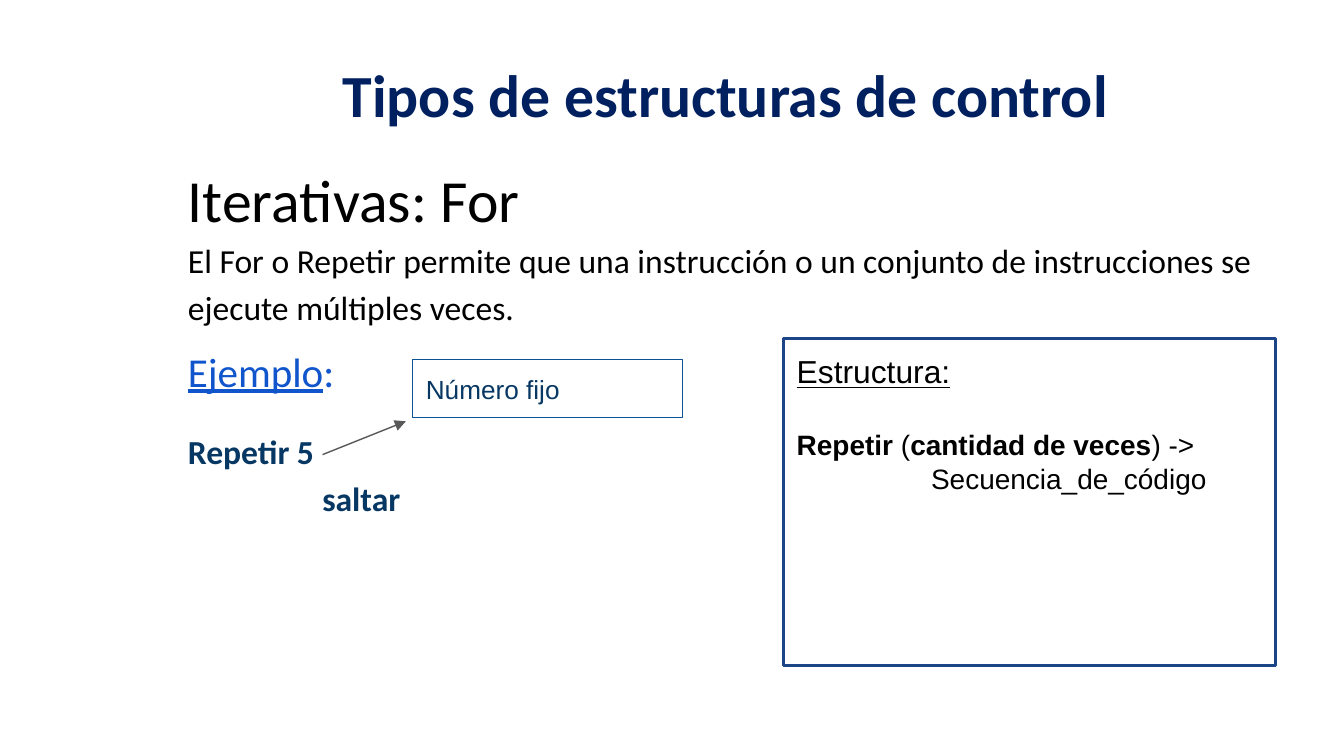
import pptx
import pptx.dml.color
import pptx.enum.shapes
import pptx.enum.text
import pptx.oxml
import pptx.oxml.ns
import pptx.util

WIDTH = 10
HEIGHT = WIDTH * 9 / 16
NAVY = "073763"
BLACK = "000000"
INSET = 0.1
TAB = 1


def color(value):
    return pptx.dml.color.RGBColor.from_string(value)


def inches(*lengths):
    return [pptx.util.Inches(length) for length in lengths]


def percent(x, y):
    """Turn percentages of the slide's width and height into inches."""
    return x * WIDTH / 100, y * HEIGHT / 100


def add_xml(parent, tag, content="", attributes=""):
    parent.append(pptx.oxml.parse_xml(
        f'<a:{tag} {pptx.oxml.ns.nsdecls("a")} {attributes}>{content}</a:{tag}>'))


def set_frame(shape, anchor=pptx.enum.text.MSO_ANCHOR.TOP):
    frame = shape.text_frame
    frame.word_wrap = True
    frame.auto_size = pptx.enum.text.MSO_AUTO_SIZE.NONE
    frame.vertical_anchor = anchor
    frame.margin_left = frame.margin_right = pptx.util.Inches(INSET)
    frame.margin_top = frame.margin_bottom = pptx.util.Inches(INSET)
    return frame


def write_paragraphs(frame, rows, font_name, line_spacing=None):
    """Each row is (runs, size, colour, bold, space before); a run is text or (text, property)."""
    for index, (runs, size, text_color, bold, before) in enumerate(rows):
        paragraph = frame.paragraphs[0] if index == 0 else frame.add_paragraph()
        paragraph.alignment = pptx.enum.text.PP_ALIGN.LEFT
        if runs[0][0].startswith("\t"):
            add_xml(paragraph._p.get_or_add_pPr(), "tabLst",
                    f'<a:tab pos="{pptx.util.Inches(TAB)}" algn="l"/>')
        paragraph.line_spacing = line_spacing
        paragraph.space_before = pptx.util.Pt(before)
        font = paragraph.font
        font.name, font.size, font.bold = font_name, pptx.util.Pt(size), bold
        font.color.rgb = color(text_color)
        for item in runs:
            text, emphasis = item if isinstance(item, tuple) else (item, None)
            run = paragraph.add_run()
            run.text = text
            if emphasis:
                setattr(run.font, emphasis, True)


def add_title(slide, left, top, width, height):
    title = slide.shapes.title
    title.left, title.top, title.width, title.height = inches(left, top, width, height)
    set_frame(title, pptx.enum.text.MSO_ANCHOR.MIDDLE)
    title.text_frame.text = "Tipos de estructuras de control"
    paragraph = title.text_frame.paragraphs[0]
    paragraph.alignment = pptx.enum.text.PP_ALIGN.CENTER
    font = paragraph.font
    font.name, font.size, font.bold = "Calibri", pptx.util.Pt(32), True
    font.color.rgb = color("002060")


def add_explanation(slide, left, top, width, height):
    box = slide.shapes.add_textbox(*inches(left, top, width, height))
    write_paragraphs(set_frame(box), [
        (["Iterativas: For"], 32, BLACK, False, 0),
        (["El For o Repetir permite que una instrucción o un conjunto de "
          "instrucciones se ejecute múltiples veces."], 18, BLACK, False, 0),
        ([("Ejemplo", "underline"), ":"], 22, "1155CC", False, 6.4),
        (["Repetir 5"], 18, NAVY, True, 16),
        (["\tsaltar"], 18, NAVY, True, 0),
    ], "Calibri", 1.15)


def add_outlined_box(slide, left, top, width, height, line_color, line_width, rows):
    box = slide.shapes.add_shape(pptx.enum.shapes.MSO_SHAPE.RECTANGLE,
                                 *inches(left, top, width, height))
    box.shadow.inherit = False
    box.fill.background()
    box.line.color.rgb = color(line_color)
    box.line.width = pptx.util.Pt(line_width)
    write_paragraphs(set_frame(box), rows, "Arial")


def add_structure(slide, left, top, width, height):
    add_outlined_box(slide, left, top, width, height, "1C4587", 1.5, [
        ([("Estructura:", "underline")], 17, BLACK, False, 0),
        ([("Repetir", "bold"), " (", ("cantidad de veces", "bold"), ") ->"],
         15, BLACK, False, 20),
        (["\tSecuencia_de_código"], 15, BLACK, False, 0),
    ])


def add_fixed_number(slide, left, top, width, height):
    """Label box with the arrow that reaches it from the repeat count."""
    arrow = slide.shapes.add_connector(
        pptx.enum.shapes.MSO_CONNECTOR.STRAIGHT,
        *inches(left - width / 3, top + 1.65 * height, left - 0.05, top + 1.07 * height))
    arrow.line.color.rgb = color("595959")
    arrow.line.width = pptx.util.Pt(0.75)
    add_xml(arrow.line._get_or_add_ln(), "tailEnd", attributes='type="triangle"')
    add_xml(arrow._element.spPr, "effectLst")
    add_outlined_box(slide, left, top, width, height, "0B5394", 0.75,
                     [(["Número fijo"], 14, NAVY, False, 0)])


def main():
    presentation = pptx.Presentation()
    presentation.slide_width, presentation.slide_height = inches(WIDTH, HEIGHT)
    slide = presentation.slides.add_slide(presentation.slide_layouts[5])
    add_title(slide, *percent(13, 4), *percent(82, 16.7))
    add_explanation(slide, *percent(13, 18.3), *percent(85.4, 68.6))
    add_structure(slide, *percent(58.3, 44.8), *percent(36.6, 43.2))
    add_fixed_number(slide, *percent(30.7, 47.6), *percent(20.1, 7.6))
    presentation.save("out.pptx")


if __name__ == "__main__":
    main()
